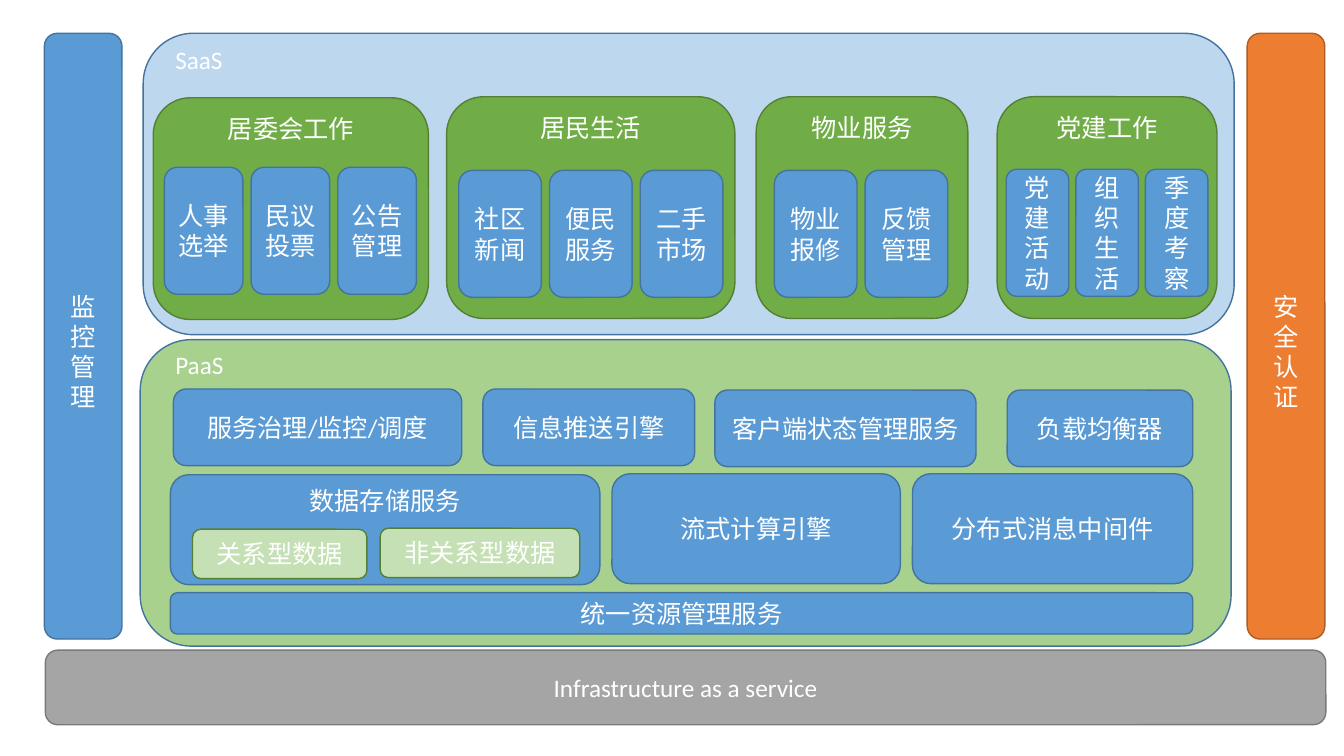
from dataclasses import dataclass

from pptx import Presentation
from pptx.dml.color import RGBColor
from pptx.enum import shapes, text
from pptx.util import Inches, Pt

WHITE = RGBColor(0xFF, 0xFF, 0xFF)
BLUE = RGBColor(0x5B, 0x9B, 0xD5)
BLUE_EDGE = RGBColor(0x43, 0x73, 0x9E)
PALE_BLUE = RGBColor(0xBD, 0xD7, 0xEE)
GREEN = RGBColor(0x70, 0xAD, 0x47)
GREEN_EDGE = RGBColor(0x53, 0x80, 0x35)
LIGHT_GREEN = RGBColor(0xA9, 0xD1, 0x8E)
PALE_GREEN = RGBColor(0xC5, 0xE0, 0xB4)
ORANGE = RGBColor(0xED, 0x7D, 0x31)
ORANGE_EDGE = RGBColor(0xAF, 0x5C, 0x24)
GRAY = RGBColor(0xA5, 0xA5, 0xA5)
GRAY_EDGE = RGBColor(0x7A, 0x7A, 0x7A)

TOP = text.MSO_ANCHOR.TOP
MIDDLE = text.MSO_ANCHOR.MIDDLE


@dataclass
class Box:
    label: str
    left: float
    top: float
    width: float
    height: float
    fill: RGBColor = BLUE
    edge: RGBColor = BLUE_EDGE
    anchor: text.MSO_ANCHOR = MIDDLE
    inset_top: float = 0.05


@dataclass
class Module:
    title: str
    left: float
    top: float
    width: float
    tiles: list[str]
    tile_left: float
    tile_top: float
    tile_width: float
    pitch: float


def write(frame, label: str, align: text.PP_ALIGN) -> None:
    frame.word_wrap = True
    for index, line in enumerate(label.split("\n")):
        para = frame.add_paragraph() if index else frame.paragraphs[0]
        para.alignment = align
        span = para.add_run()
        span.text = line
        span.font.name = "Calibri"
        span.font.size = Pt(18)
        span.font.color.rgb = WHITE


def draw_box(parent, box: Box) -> None:
    shape = parent.add_shape(
        shapes.MSO_SHAPE.ROUNDED_RECTANGLE,
        Inches(box.left), Inches(box.top), Inches(box.width), Inches(box.height))
    shape.shadow.inherit = False
    shape.fill.solid()
    shape.fill.fore_color.rgb = box.fill
    shape.line.color.rgb = box.edge
    shape.line.width = Pt(1)
    if box.label:
        frame = shape.text_frame
        frame.vertical_anchor = box.anchor
        frame.margin_top = Inches(box.inset_top)
        write(frame, box.label, text.PP_ALIGN.CENTER)


def draw_module(parent, module: Module) -> None:
    group = parent.add_group_shape().shapes
    draw_box(group, Box(module.title, module.left, module.top, module.width, 2.2,
                        GREEN, GREEN_EDGE, TOP))
    for index, tile in enumerate(module.tiles):
        draw_box(group, Box(tile, module.tile_left + index * module.pitch,
                            module.tile_top, module.tile_width, 1.26))


def draw_layer_name(parent, name: str, top: float) -> None:
    box = parent.add_textbox(Inches(1.64), Inches(top), Inches(2.18), Inches(0.4))
    write(box.text_frame, name, text.PP_ALIGN.LEFT)


deck = Presentation()
deck.slide_width, deck.slide_height = Inches(13.33), Inches(7.5)
page = deck.slides.add_slide(deck.slide_layouts[6])
canvas = page.shapes

# Infrastructure, layer panels and side bars; bar text sits below centre
FRAME = [
    Box("Infrastructure as a service", 0.45, 6.45, 12.7, 0.74, GRAY, GRAY_EDGE),
    Box("", 1.39, 3.37, 10.82, 3.04, LIGHT_GREEN),
    Box("监\n控\n管\n理", 0.44, 0.33, 0.77, 6.01, inset_top=0.35),
    Box("安全认证", 12.37, 0.33, 0.77, 6.01, ORANGE, ORANGE_EDGE, inset_top=0.35),
    Box("统一资源管理服务", 1.69, 5.88, 10.14, 0.41),
    Box("", 1.42, 0.33, 10.82, 2.99, PALE_BLUE),
]
for box in FRAME:
    draw_box(canvas, box)
draw_layer_name(canvas, "PaaS", 3.42)
draw_layer_name(canvas, "SaaS", 0.39)

# SaaS modules
MODULES = [
    Module("居委会工作", 1.52, 0.97, 2.73, ["人事选举", "民议投票", "公告管理"],
           1.63, 1.66, 0.78, 0.86),
    Module("居民生活", 4.43, 0.96, 2.86, ["社区新闻", "便民服务", "二手市场"],
           4.55, 1.69, 0.82, 0.9),
    Module("物业服务", 7.5, 0.96, 2.1, ["物业报修", "反馈管理"],
           7.68, 1.69, 0.82, 0.9),
    Module("党建工作", 9.89, 0.96, 2.18, ["党建活动", "组织生活", "季度考察"],
           9.98, 1.68, 0.62, 0.69),
]
for module in MODULES:
    draw_module(canvas, module)

# PaaS services
SERVICES = [
    Box("数据存储服务", 1.69, 4.71, 4.26, 1.09, anchor=TOP),
    Box("关系型数据", 1.91, 5.25, 1.73, 0.49, PALE_GREEN, GREEN_EDGE),
    Box("非关系型数据", 3.77, 5.24, 1.98, 0.49, PALE_GREEN, GREEN_EDGE),
    Box("流式计算引擎", 6.07, 4.7, 2.86, 1.09),
    Box("分布式消息中间件", 9.05, 4.7, 2.78, 1.09),
    Box("服务治理/监控/调度", 1.72, 3.86, 2.86, 0.76),
    Box("信息推送引擎", 4.79, 3.86, 2.1, 0.76),
    Box("客户端状态管理服务", 7.09, 3.87, 2.59, 0.76),
    Box("负载均衡器", 9.99, 3.87, 1.84, 0.76),
]
for box in SERVICES:
    draw_box(canvas, box)

deck.save("out.pptx")
